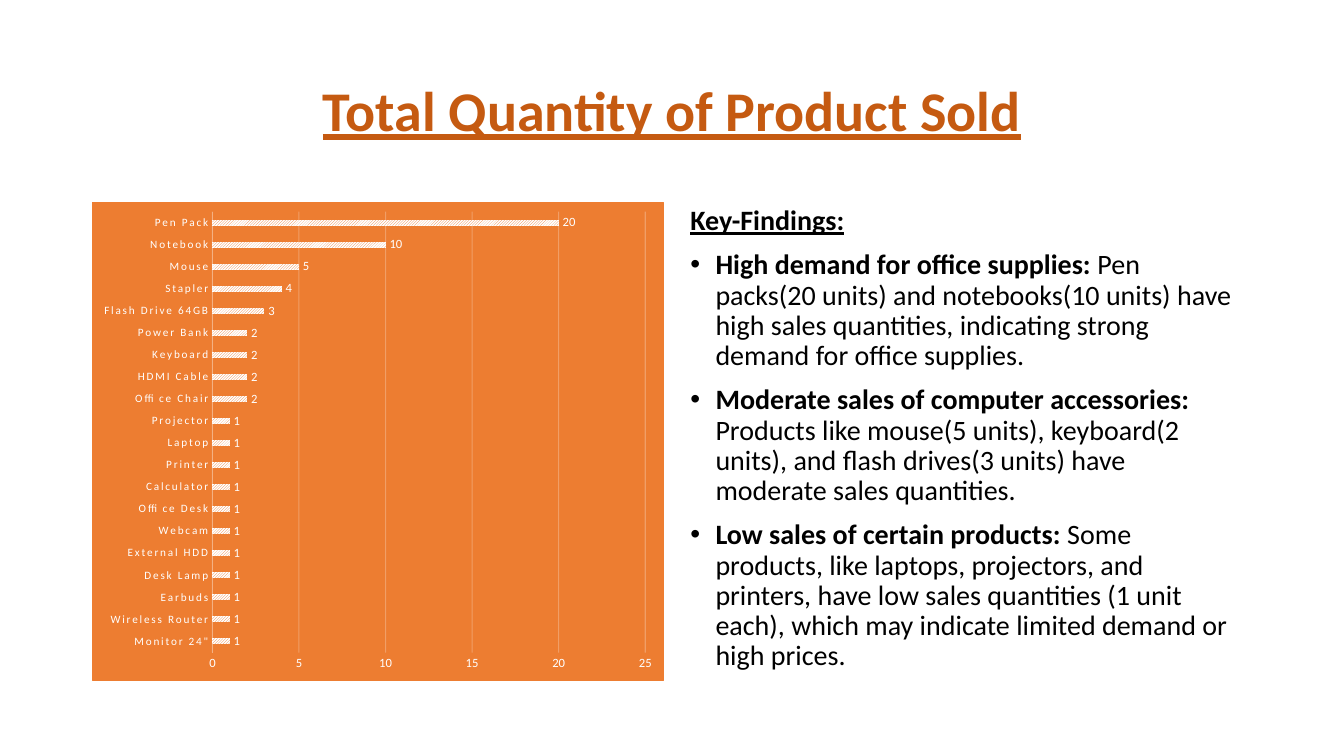
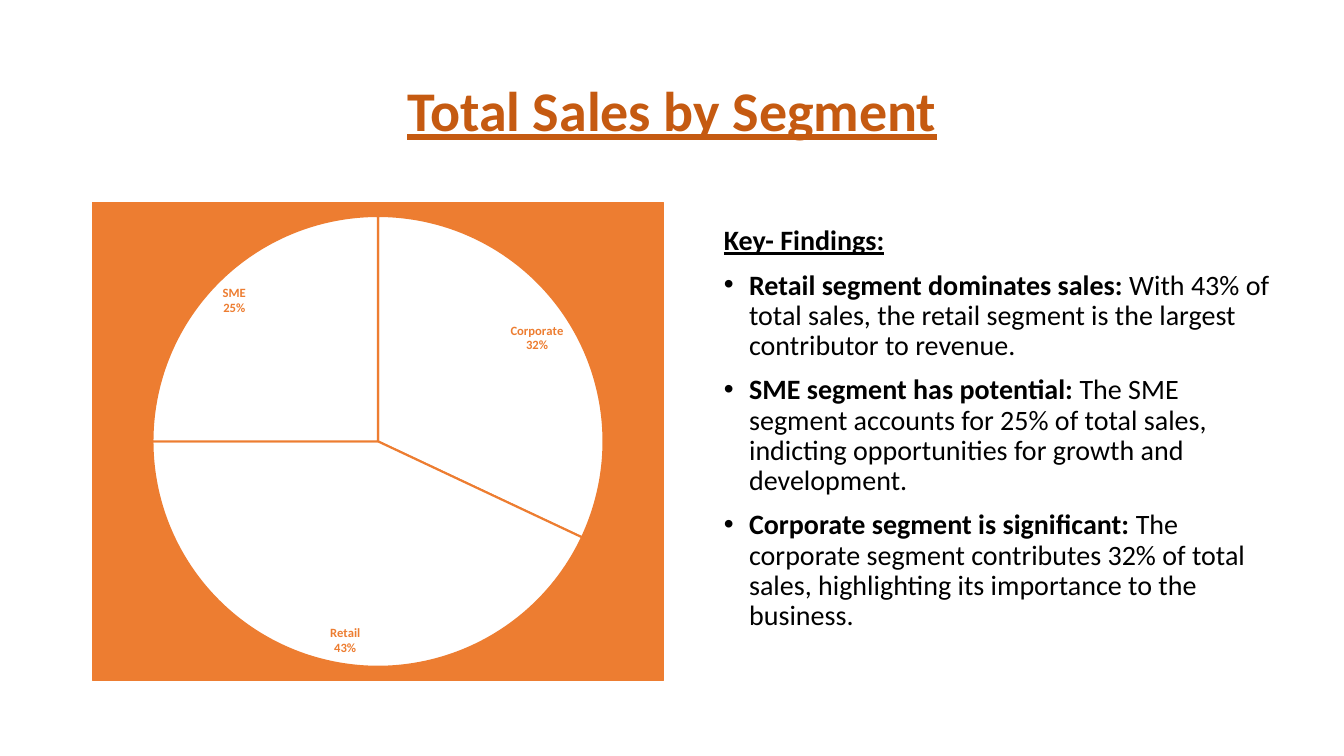
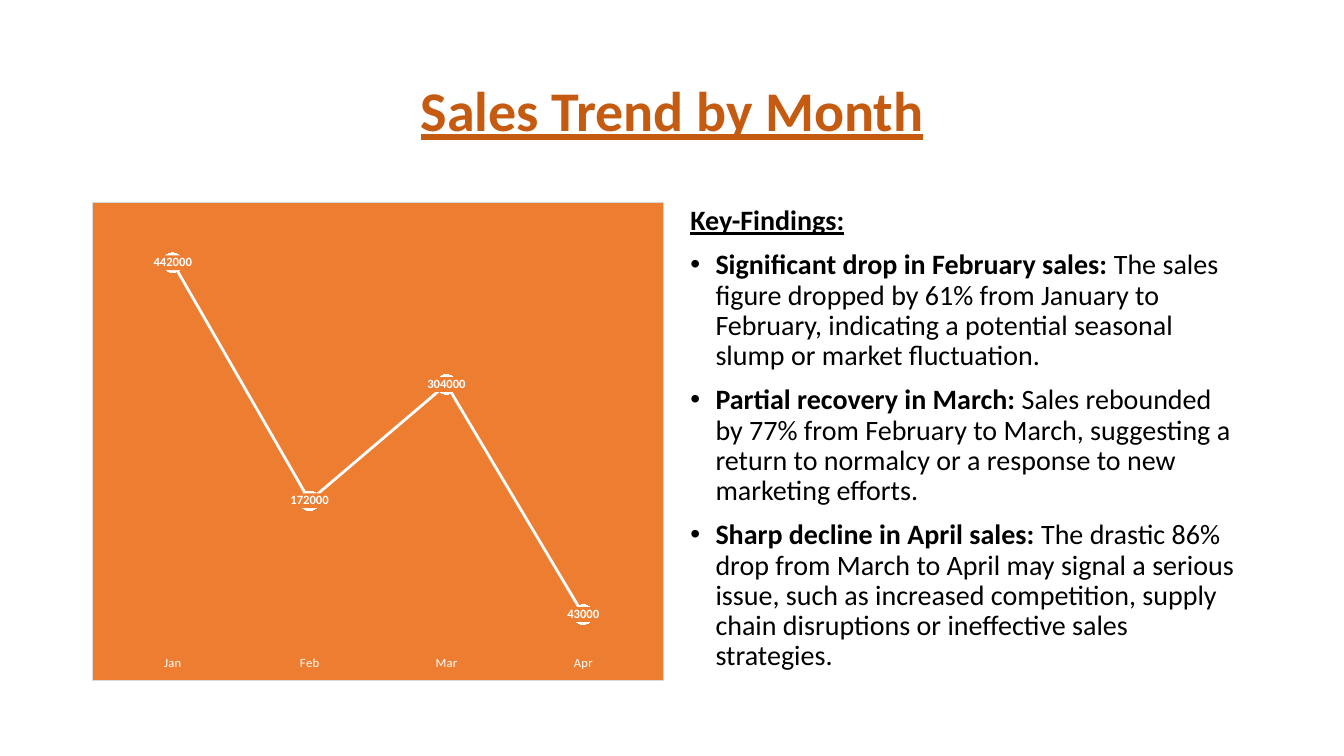
from lxml import etree
from pptx import Presentation
from pptx.chart.data import CategoryChartData
from pptx.dml.color import RGBColor
from pptx.enum.chart import XL_CHART_TYPE as ChartType
from pptx.enum.chart import XL_LABEL_POSITION as LabelPosition
from pptx.enum.chart import XL_MARKER_STYLE as MarkerStyle
from pptx.enum.chart import XL_TICK_MARK as TickMark
from pptx.enum.dml import MSO_PATTERN as Pattern
from pptx.enum.text import MSO_ANCHOR as Anchor
from pptx.enum.text import PP_ALIGN as Align
from pptx.oxml import parse_xml
from pptx.oxml.ns import nsdecls, qn
from pptx.util import Inches, Pt

# Shared look
ORANGE = RGBColor(0xED, 0x7D, 0x31)
DARK_ORANGE = RGBColor(0xC5, 0x5A, 0x11)
PALE_ORANGE = RGBColor(0xF4, 0xB1, 0x83)
GREY = RGBColor(0xD9, 0xD9, 0xD9)
WHITE = RGBColor(0xFF, 0xFF, 0xFF)
BLACK = RGBColor(0, 0, 0)
FONT = "Calibri"

# Grid of 160 columns by 90 rows; boxes are column, row, columns, rows
COLUMNS, ROWS = 160, 90
TITLE_BOX = (11, 4.8, 138, 17.4)
CHART_BOX = (11, 24, 68, 57.1)
FINDINGS_BOX = (81, 24, 68, 57.1)
SHIFTED_FINDINGS_BOX = (85, 26.4, 68, 57.1)

# Slide contents
QUANTITIES = {
    'Monitor 24"': 1, "Wireless Router": 1, "Earbuds": 1, "Desk Lamp": 1,
    "External HDD": 1, "Webcam": 1, "Office Desk": 1, "Calculator": 1,
    "Printer": 1, "Laptop": 1, "Projector": 1, "Office Chair": 2,
    "HDMI Cable": 2, "Keyboard": 2, "Power Bank": 2, "Flash Drive 64GB": 3,
    "Stapler": 4, "Mouse": 5, "Notebook": 10, "Pen Pack": 20,
}
QUANTITY_FINDINGS = [
    ("High demand for office supplies: ",
     "Pen packs(20 units) and notebooks(10 units) have high sales quantities, "
     "indicating strong demand for office supplies."),
    ("Moderate sales of computer accessories: ",
     "Products like mouse(5 units), keyboard(2 units), and flash drives(3 units) "
     "have moderate sales quantities."),
    ("Low sales of certain products: ",
     "Some products, like laptops, projectors, and printers, have low sales "
     "quantities (1 unit each), which may indicate limited demand or high prices."),
]
SEGMENTS = {"Corporate": 32, "Retail": 43, "SME": 25}
SEGMENT_FINDINGS = [
    ("Retail segment dominates sales: ",
     "With 43% of total sales, the retail segment is the largest contributor to "
     "revenue."),
    ("SME segment has potential: ",
     "The SME segment accounts for 25% of total sales, indicting opportunities "
     "for growth and development."),
    ("Corporate segment is significant: ",
     "The corporate segment contributes 32% of total sales, highlighting its "
     "importance to the business."),
]
MONTHS = {"Jan": 442000, "Feb": 172000, "Mar": 304000, "Apr": 43000}
MONTH_FINDINGS = [
    ("Significant drop in February sales: ",
     "The sales figure dropped by 61% from January to February, indicating a "
     "potential seasonal slump or market fluctuation."),
    ("Partial recovery in March: ",
     "Sales rebounded by 77% from February to March, suggesting a return to "
     "normalcy or a response to new marketing efforts."),
    ("Sharp decline in April sales: ",
     "The drastic 86% drop from March to April may signal a serious issue, such "
     "as increased competition, supply chain disruptions or ineffective sales "
     "strategies."),
]


def place(deck, box):
    column, row, columns, rows = box
    across, down = deck.slide_width / COLUMNS, deck.slide_height / ROWS
    return (round(column * across), round(row * down),
            round(columns * across), round(rows * down))


def style_font(font, size, color, bold=False, underline=None):
    font.name = FONT
    font.size = Pt(size)
    font.color.rgb = color
    font.bold = bold
    if underline is not None:
        font.underline = underline


# Text regions
def add_text_frame(deck, page, box):
    frame = page.shapes.add_textbox(*place(deck, box)).text_frame
    frame.word_wrap = True
    return frame


def add_title(deck, page, text):
    frame = add_text_frame(deck, page, TITLE_BOX)
    frame.vertical_anchor = Anchor.MIDDLE
    frame.text = text
    para = frame.paragraphs[0]
    para.alignment = Align.CENTER
    para.line_spacing = 0.9
    style_font(para.runs[0].font, 40, DARK_ORANGE, True, True)


def add_bullet(para):
    properties = para._p.get_or_add_pPr()
    properties.set("marL", str(Inches(0.25)))
    properties.set("indent", str(-Inches(0.25)))
    etree.SubElement(properties, qn("a:buFont")).set("typeface", "Arial")
    etree.SubElement(properties, qn("a:buChar")).set("char", "•")


def add_findings(deck, page, box, heading, findings):
    frame = add_text_frame(deck, page, box)
    frame.text = heading
    style_font(frame.paragraphs[0].runs[0].font, 20, BLACK, True, True)
    for lead, detail in findings:
        para = frame.add_paragraph()
        for text, bold in ((lead, True), (detail, False)):
            span = para.add_run()
            span.text = text
            style_font(span.font, 20, BLACK, bold)
    for number, para in enumerate(frame.paragraphs):
        para.line_spacing = 0.9
        para.space_before = Pt(10)
        if number:
            add_bullet(para)


# Chart parts
def area_format(fill, border=None):
    line = (f'<a:ln w="{Pt(0.75)}"><a:solidFill><a:srgbClr val="{border}"/>'
            "</a:solidFill></a:ln>" if border else "")
    return parse_xml(f'<c:spPr {nsdecls("c", "a")}><a:solidFill>'
                     f'<a:srgbClr val="{fill}"/></a:solidFill>{line}</c:spPr>')


def add_chart(deck, page, kind, values, border=ORANGE):
    data = CategoryChartData()
    data.categories = list(values)
    data.add_series("Series 1", list(values.values()))
    chart = page.shapes.add_chart(kind, *place(deck, CHART_BOX), data).chart
    chart.has_title = False
    chart.has_legend = False
    style_font(chart.font, 10, BLACK)
    chart.element.find(qn("c:chart")).addnext(area_format(ORANGE, border))
    plot = chart.plots[0]
    plot.vary_by_categories = False
    return chart, plot, plot.series[0]


def label_series(series, position, color, bold=False):
    labels = series.data_labels
    style_font(labels.font, 9, color, bold)
    labels.position = position
    labels.show_value = True
    return labels


def style_category_axis(axis, size, spacing):
    axis.major_tick_mark = TickMark.NONE
    axis.has_major_gridlines = False
    style_font(axis.tick_labels.font, size, WHITE)
    for properties in axis._element.iter(qn("a:defRPr")):
        properties.set("spc", str(spacing))


def add_quantity_chart(deck, page):
    chart, plot, series = add_chart(deck, page, ChartType.BAR_CLUSTERED, QUANTITIES)
    plot.gap_width = 269
    plot.overlap = -20
    fill = series.format.fill
    fill.patterned()
    fill.pattern = Pattern.LIGHT_UPWARD_DIAGONAL
    fill.fore_color.rgb = ORANGE
    fill.back_color.rgb = WHITE
    label_series(series, LabelPosition.OUTSIDE_END, WHITE)

    style_category_axis(chart.category_axis, 8, 120)
    axis_line = chart.category_axis.format.line
    axis_line.color.rgb = PALE_ORANGE
    axis_line.width = Pt(0.25)

    axis = chart.value_axis
    axis.major_tick_mark = TickMark.NONE
    axis.format.line.fill.background()
    style_font(axis.tick_labels.font, 9, WHITE)
    grid_line = axis.major_gridlines.format.line
    grid_line.color.rgb = WHITE
    grid_line.width = Pt(0.75)
    for color in axis._element.find(qn("c:majorGridlines")).iter(qn("a:srgbClr")):
        etree.SubElement(color, qn("a:alpha")).set("val", "25000")


def add_segment_chart(deck, page):
    chart, plot, series = add_chart(deck, page, ChartType.PIE, SEGMENTS)
    for number in range(len(SEGMENTS)):
        slice_format = series.points[number].format
        slice_format.fill.solid()
        slice_format.fill.fore_color.rgb = WHITE
        slice_format.line.color.rgb = ORANGE
        slice_format.line.width = Pt(1.5)
    labels = label_series(series, LabelPosition.INSIDE_END, ORANGE, True)
    labels.show_value = False
    labels.show_category_name = True
    labels.show_percentage = True
    # Category and share on separate lines
    separator = parse_xml(f'<c:separator {nsdecls("c")}>\n</c:separator>')
    labels._element.find(qn("c:showPercent")).addnext(separator)
    bubble = labels._element.find(qn("c:showBubbleSize"))
    if bubble is not None:
        bubble.addnext(separator)


def add_month_chart(deck, page):
    chart, plot, series = add_chart(deck, page, ChartType.LINE_MARKERS, MONTHS, GREY)
    series.smooth = False
    series.format.line.color.rgb = WHITE
    series.format.line.width = Pt(2)
    marker = series.marker
    marker.style = MarkerStyle.CIRCLE
    marker.size = 14
    marker.format.fill.solid()
    marker.format.fill.fore_color.rgb = ORANGE
    marker.format.line.fill.background()
    labels = label_series(series, LabelPosition.CENTER, WHITE, True)
    labels._element.find(qn("c:txPr")).addprevious(area_format(ORANGE))

    style_category_axis(chart.category_axis, 9, 20)
    chart.category_axis.format.line.fill.background()
    chart.value_axis.has_major_gridlines = False
    chart.value_axis.visible = False


SLIDES = [
    ("Total Quantity of Product Sold", add_quantity_chart,
     FINDINGS_BOX, "Key-Findings:", QUANTITY_FINDINGS),
    ("Total Sales by Segment", add_segment_chart,
     SHIFTED_FINDINGS_BOX, "Key- Findings:", SEGMENT_FINDINGS),
    ("Sales Trend by Month", add_month_chart,
     FINDINGS_BOX, "Key-Findings:", MONTH_FINDINGS),
]


def main():
    deck = Presentation()
    deck.slide_width = Inches(13.33)
    deck.slide_height = Inches(7.5)
    for title, draw_chart, box, heading, findings in SLIDES:
        page = deck.slides.add_slide(deck.slide_layouts[6])
        add_title(deck, page, title)
        add_findings(deck, page, box, heading, findings)
        draw_chart(deck, page)
    deck.save("out.pptx")


if __name__ == "__main__":
    main()
